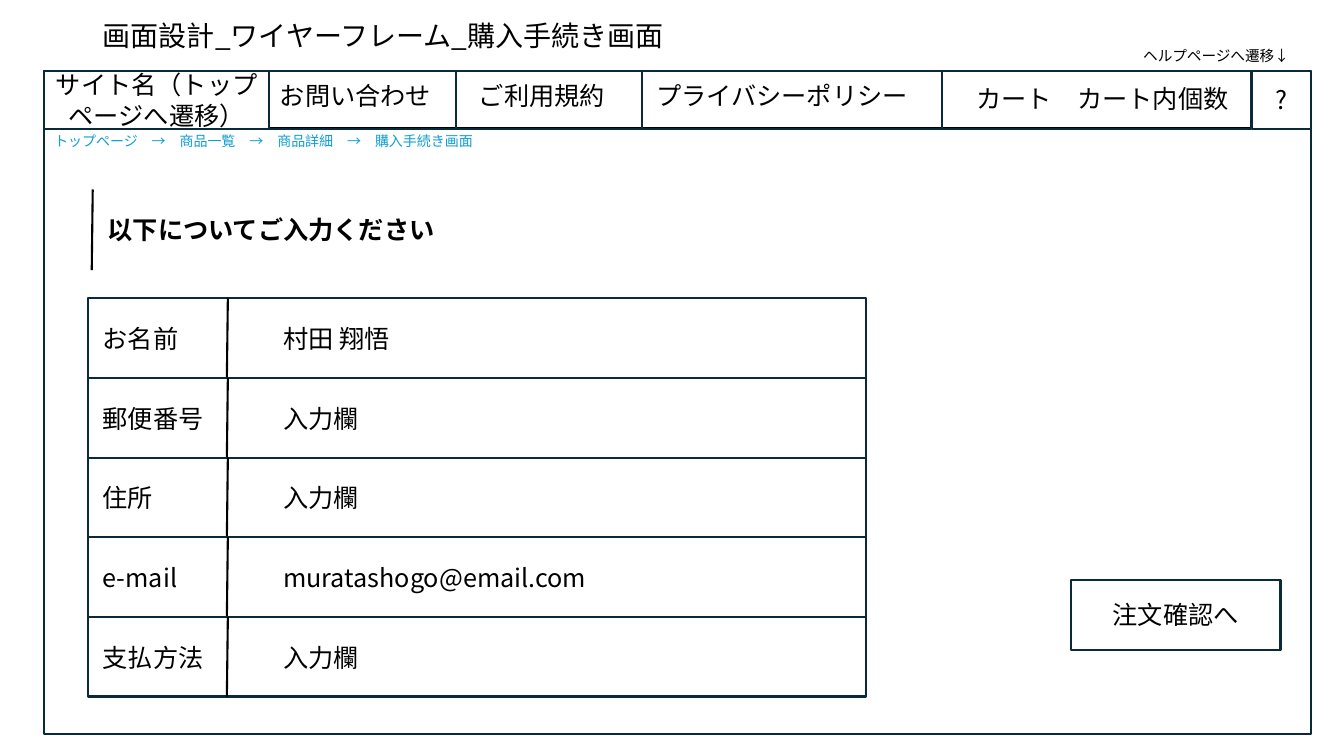
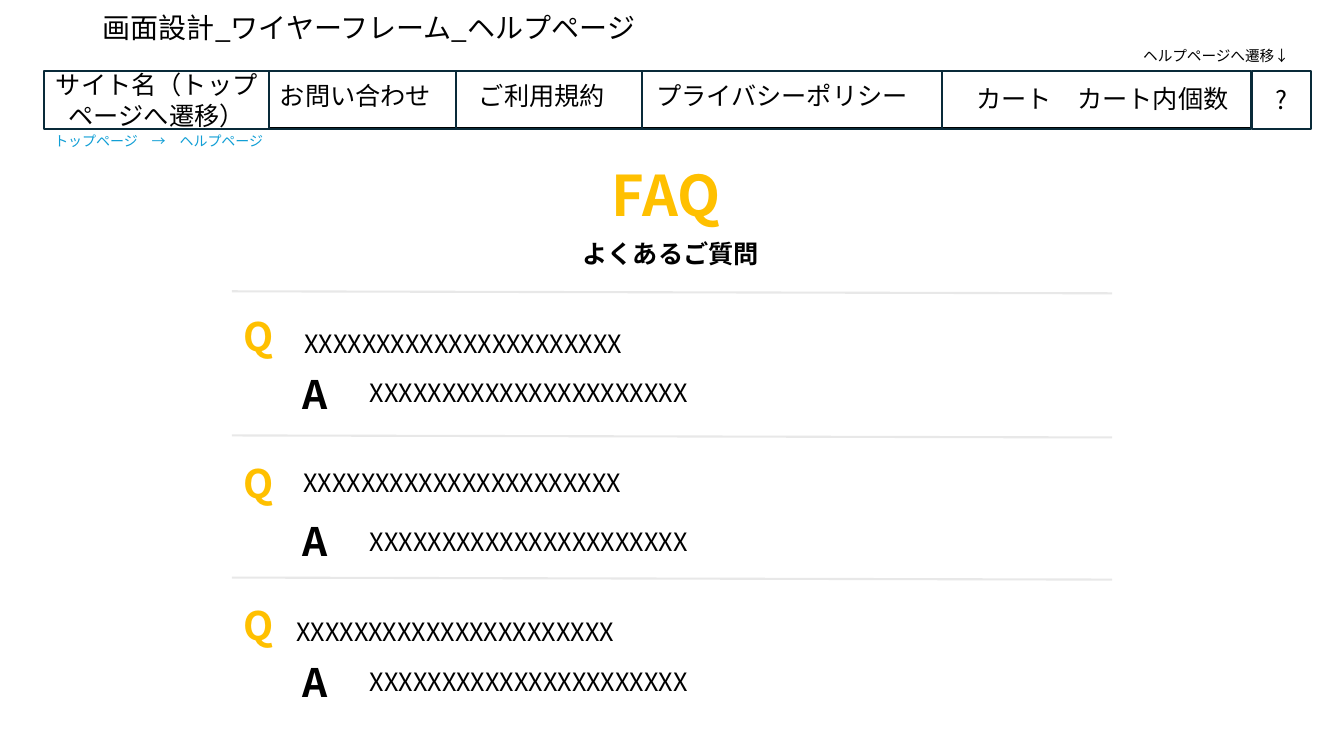
from lxml.etree import SubElement
from pptx import Presentation
from pptx.dml.color import RGBColor
from pptx.enum.shapes import MSO_CONNECTOR, MSO_SHAPE
from pptx.enum.text import MSO_ANCHOR, MSO_AUTO_SIZE, PP_ALIGN
from pptx.oxml.ns import qn
from pptx.util import Pt

PX = 9144  # EMU in one px, 100 px to the inch
FONT = "Noto Sans CJK JP"
COLORS = {
    "text": "000000",
    "border": "092A39",
    "breadcrumb": "0F9ED5",
    "accent": "FFC000",
    "rule": "E8E8E8",
}
HEADER = (44, 70, 1256, 58)
FRAME = (44, 70, 1256, 658)
# text, width of the cell, nudge of the label to the right and down
NAVIGATION = [
    ("お問い合わせ", 185, -7, -4),
    ("ご利用規約", 185, -7, -4),
    ("プライバシーポリシー", 297, -10, -4),
    ("カート　カート内個数", 307, 6, -1),
]
SITE_WIDTH = 223
HELP_WIDTH = 58
FORM_ROWS = [
    ("お名前", "村田 翔悟"),
    ("郵便番号", "入力欄"),
    ("住所", "入力欄"),
    ("e-mail", "muratashogo@email.com"),
    ("支払方法", "入力欄"),
]
PLACEHOLDER_TEXT = "X" * 22
# top of the rule; then, below it, the mark Q and the question, the mark A
# and the answer; last the left of the question
FAQ_ENTRIES = [
    (289, 16, 32, 73, 80, 62),
    (432, 19, 27, 76, 85, 61),
    (573, 19, 34, 75, 83, 54),
]


def emu(*lengths):
    return [length * PX for length in lengths]


def color(name):
    return RGBColor.from_string(COLORS[name])


def write(frame, text, size=18, ink="text", bold=False, align=PP_ALIGN.LEFT,
          anchor=MSO_ANCHOR.TOP):
    frame.word_wrap = True
    frame.auto_size = MSO_AUTO_SIZE.NONE
    frame.vertical_anchor = anchor
    paragraph = frame.paragraphs[0]
    paragraph.alignment = align
    run = paragraph.add_run()
    run.text = text
    run.font.size = Pt(size)
    run.font.bold = bold
    run.font.name = FONT
    run.font.color.rgb = color(ink)
    SubElement(run.font._element, qn("a:ea"), typeface=FONT)
    return paragraph


def add_text(slide, box, text, **style):
    write(slide.shapes.add_textbox(*emu(*box)).text_frame, text, **style)


def add_box(slide, box, text=None):
    """Draw an outlined rectangle, with centred text if there is any."""
    shape = slide.shapes.add_shape(MSO_SHAPE.RECTANGLE, *emu(*box))
    shape.shadow.inherit = False
    shape.fill.background()
    shape.line.color.rgb = color("border")
    shape.line.width = Pt(1.5)
    if text:
        write(shape.text_frame, text, align=PP_ALIGN.CENTER,
              anchor=MSO_ANCHOR.MIDDLE)


def add_line(slide, start, end, ink="text"):
    line = slide.shapes.add_connector(MSO_CONNECTOR.STRAIGHT,
                                      *emu(*start, *end))
    line.line.color.rgb = color(ink)
    line.line.width = Pt(1.5)
    SubElement(line._element.spPr, qn("a:effectLst"))


def add_title(slide, box, text):
    title = slide.shapes.title
    title.left, title.top, title.width, title.height = emu(*box)
    paragraph = write(title.text_frame, text, size=20,
                      anchor=MSO_ANCHOR.MIDDLE)
    paragraph.line_spacing = 0.9


def add_header(slide, box):
    left, top, width, height = box
    right, bottom = left + width, top + height
    add_box(slide, (left, top, SITE_WIDTH, height),
            "サイト名（トップページへ遷移）")
    cell_left = left + SITE_WIDTH
    add_line(slide, (cell_left, bottom - 1), (right - HELP_WIDTH, bottom - 1))
    for text, cell_width, nudge_x, nudge_y in NAVIGATION:
        add_box(slide, (cell_left, top, cell_width, height))
        add_text(slide,
                 (cell_left + nudge_x, top + nudge_y, cell_width, height),
                 text, align=PP_ALIGN.CENTER, anchor=MSO_ANCHOR.MIDDLE)
        cell_left += cell_width
    add_box(slide, (right - HELP_WIDTH, top, HELP_WIDTH, height), "?")
    add_text(slide, (right - 176, top - 28, 176, 28), "ヘルプページへ遷移↓",
             size=10.5)


def add_page(presentation, title, title_box, steps):
    """Add a slide with the title, site header and breadcrumb."""
    slide = presentation.slides.add_slide(presentation.slide_layouts[5])
    add_title(slide, title_box, title)
    add_header(slide, HEADER)
    left, top, _, height = HEADER
    add_text(slide, (left, top + height - 1, 548, 27), "　→　".join(steps),
             size=10, ink="breadcrumb")
    return slide


def add_section_heading(slide, box, text):
    left, top, width, height = box
    add_line(slide, (left + 1, top), (left, top + height))
    add_text(slide, (left + 6, top + 20, width - 6, 40), text, bold=True)


def add_form(slide, box):
    left, top, width, height = box
    row_height = height // len(FORM_ROWS)
    for index, (label, value) in enumerate(FORM_ROWS):
        row_top = top + index * row_height
        add_box(slide, (left, row_top, width, row_height))
        add_line(slide, (left + 139, row_top),
                 (left + 138, row_top + row_height))
        add_text(slide, (left + 5, row_top + 20, 129, 40), label)
        add_text(slide, (left + 184, row_top + 20, 419, 40), value)


def add_faq_heading(slide, box):
    left, top, width, _ = box
    add_text(slide, (left + 29, top, 137, 77), "FAQ", size=40,
             ink="accent", bold=True)
    add_text(slide, (left, top + 78, width, 40), "よくあるご質問", bold=True)


def add_faq_entry(slide, left, width, entry):
    top, q_top, question_top, a_top, answer_top, question_left = entry
    add_line(slide, (left, top), (left + width, top + 2), "rule")
    add_text(slide, (left + 2, top + q_top, 58, 57), "Q", size=28,
             ink="accent", bold=True)
    add_text(slide, (left + question_left, top + question_top, 441, 40),
             PLACEHOLDER_TEXT)
    add_text(slide, (left + 60, top + a_top, 58, 57), "A", size=28, bold=True)
    add_text(slide, (left + 127, top + answer_top, 439, 40),
             PLACEHOLDER_TEXT)


def build_checkout(presentation):
    slide = add_page(
        presentation, "画面設計_ワイヤーフレーム_購入手続き画面",
        (92, 23, 596, 28),
        ["トップページ", "商品一覧", "商品詳細", "購入手続き画面"])
    add_section_heading(slide, (91, 188, 482, 80),
                        "以下についてご入力ください")
    add_form(slide, (87, 296, 772, 395))
    add_box(slide, (1062, 575, 208, 70), "注文確認へ")
    add_box(slide, FRAME)


def build_help(presentation):
    slide = add_page(
        presentation, "画面設計_ワイヤーフレーム_ヘルプページ",
        (92, 23, 682, 13), ["トップページ", "ヘルプページ"])
    add_faq_heading(slide, (568, 154, 196, 118))
    for entry in FAQ_ENTRIES:
        add_faq_entry(slide, 230, 873, entry)


def main():
    presentation = Presentation()
    presentation.slide_width, presentation.slide_height = emu(1333, 750)
    build_checkout(presentation)
    build_help(presentation)
    presentation.save("out.pptx")


if __name__ == "__main__":
    main()
